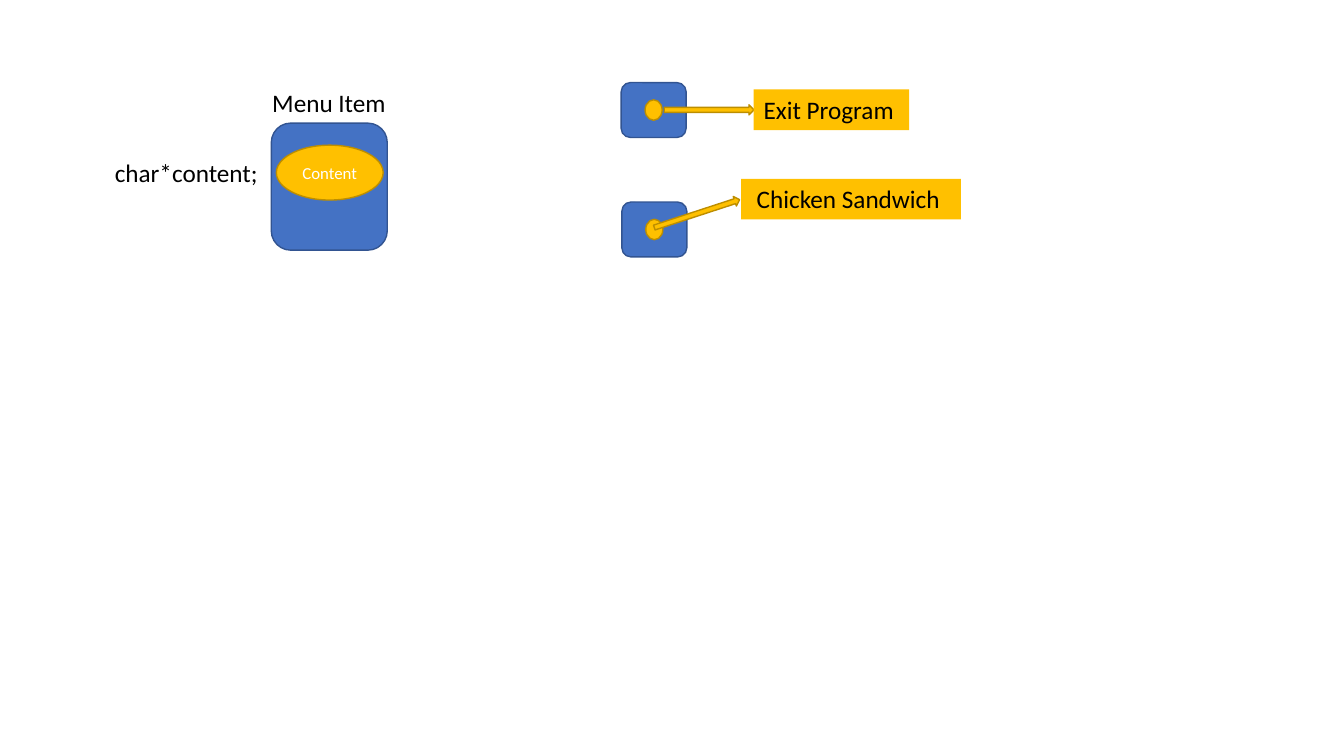
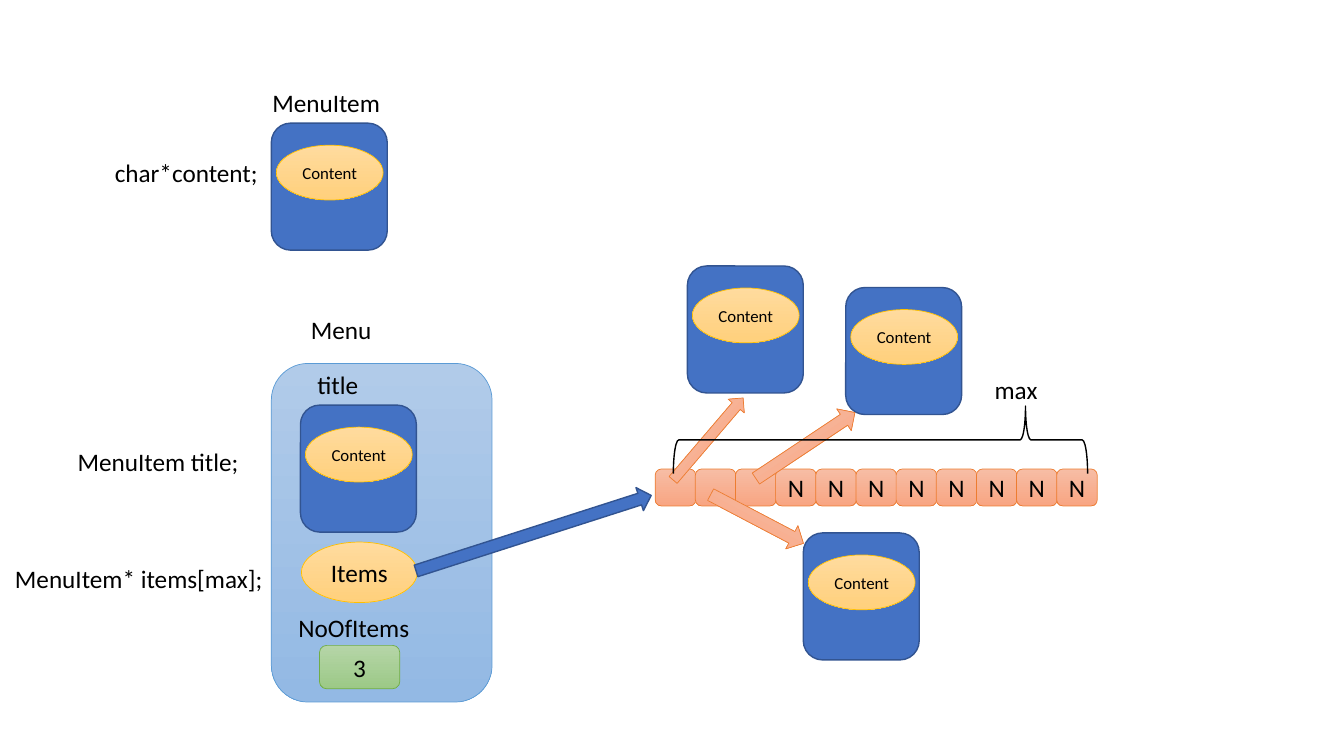
import pptx
import pptx.util
import pptx.dml.color
import pptx.enum.shapes
import pptx.enum.text

Pt = pptx.util.Pt
RGB = pptx.dml.color.RGBColor.from_string
SHAPE = pptx.enum.shapes.MSO_SHAPE
ALIGN = pptx.enum.text.PP_ALIGN
ANCHOR = pptx.enum.text.MSO_ANCHOR
AUTO = pptx.enum.text.MSO_AUTO_SIZE

COLORS = {
    "blue": "4472C4", "blue_line": "325491",
    "gold": "FFC000", "gold_line": "BD8E00",
    "cream_top": "FFDB9E", "cream_end": "FFD07C",
    "sky_top": "B1CBE9", "sky_end": "93B9E4", "sky_line": "5B9BD5",
    "green_top": "B5D5A7", "green_end": "9CC987", "green_line": "70AD47",
    "coral_top": "F7BDA5", "coral_end": "F8A582", "coral_line": "ED7D31",
    "black": "000000", "white": "FFFFFF",
}
STYLES = {
    "blue": (("blue",), "blue_line", 1),
    "gold": (("gold",), "gold_line", 1),
    "label": (("gold",), None, 0),
    "cream": (("cream_top", "cream_end"), "gold", 0.5),
    "sky": (("sky_top", "sky_end"), "sky_line", 0.5),
    "green": (("green_top", "green_end"), "green_line", 0.5),
    "coral": (("coral_top", "coral_end"), "coral_line", 0.5),
    "outline": ((), "black", 1),
}
FONT = "Calibri"
BLOCK = (82.8, 90.7)
OVAL = (76.3, 39.2)
OVAL_OFFSET = (3.6, 15.7)
LABEL_H = 29.1
MENU_ITEM = (193.8, 88)
FIELD = ("char*content;", 74.9, 108.9, 120.5, True)

OBJECT_SIZE = (46.4, 39.2)
POINTER_SIZE = (12.2, 14.6)
OBJECTS = [(443.7, 59), (444.2, 144.3)]
POINTER_ARROWS = [(474.5, 74.9, 64.1, 7.2, 0), (465.8, 149, 64.1, 7.2, 341.9)]
STRINGS = [("Exit Program", 538.4, 63.8, 111),
           (" Chicken Sandwich", 529.4, 127.7, 157)]

ITEM_BLOCKS = [(491, 190), (573.8, 380.7), (604.1, 205.4)]
ITEM_ARROWS = [(467.3, 306, 77, 15.1, 310.5), (503.3, 361.4, 74.9, 18.7, 27.7),
               (532.8, 308.9, 85, 18.7, 326.3)]
CELLS = ["", "", ""] + ["N"] * 8
CELL_X, CELL_Y, CELL_STEP = 468, 335, 28.68
CELL_SIZE = (29, 26.4)
MENU_LABELS = [
    ("Menu", 214.9, 221.2, 58.6, False),
    ("MenuItem title;", 48.4, 314.9, 149, True),
    ("title", 219.7, 260, 43.6, False),
    ("MenuItem* items[max];", 3.6, 399.1, 200.2, True),
    ("max", 703.4, 263.5, 45.4, False),
    ("NoOfItems", 206, 433.5, 111.6, True),
]


def write(sp, text, size=18, color="black", wrap=True, **formats):
    tf = sp.text_frame
    tf.word_wrap = wrap
    p = tf.paragraphs[0]
    p.alignment = formats.pop("alignment", None)
    for name, value in formats.items():
        setattr(tf, name, value)
    r = p.add_run()
    r.text = text
    for name, value in {"name": FONT, "size": Pt(size)}.items():
        setattr(r.font, name, value)
    r.font.color.rgb = RGB(COLORS[color])


def add(slide, kind, style, box, text="", size=18, color="black", rot=0):
    sp = slide.shapes.add_shape(kind, *map(Pt, box))
    sp.shadow.inherit = False
    sp.rotation = rot
    fills, line, width = STYLES[style]
    if len(fills) == 2:
        sp.fill.gradient()
        sp.fill.gradient_angle = 270
        for stop, fill in zip(sp.fill.gradient_stops, fills):
            stop.color.rgb = RGB(COLORS[fill])
    elif fills:
        sp.fill.solid()
        sp.fill.fore_color.rgb = RGB(COLORS[fills[0]])
    else:
        sp.fill.background()
    if line:
        sp.line.color.rgb = RGB(COLORS[line])
        sp.line.width = Pt(width)
    else:
        sp.line.fill.background()
    if style == "label":
        write(sp, text, alignment=ALIGN.LEFT, vertical_anchor=ANCHOR.TOP,
              auto_size=AUTO.SHAPE_TO_FIT_TEXT)
    elif text:
        write(sp, text, size, color, alignment=ALIGN.CENTER,
              vertical_anchor=ANCHOR.MIDDLE)
    return sp


def add_label(slide, text, x, y, w, wrap):
    sp = slide.shapes.add_textbox(Pt(x), Pt(y), Pt(w), Pt(LABEL_H))
    write(sp, text, wrap=wrap, auto_size=AUTO.SHAPE_TO_FIT_TEXT)


def add_block(slide, x, y, style="cream", color="black"):
    add(slide, SHAPE.ROUNDED_RECTANGLE, "blue", (x, y, *BLOCK))
    dx, dy = OVAL_OFFSET
    add(slide, SHAPE.OVAL, style, (x + dx, y + dy, *OVAL), "Content", 12, color)


def add_arrow(slide, style, x, y, w, h, rot):
    add(slide, SHAPE.RIGHT_ARROW, style, (x, y, w, h), rot=rot)


def start_slide(heading, heading_w, style, color):
    slide = prs.slides.add_slide(prs.slide_layouts[6])
    add_block(slide, *MENU_ITEM, style, color)
    add_label(slide, heading, 187.4, 59, heading_w, False)
    add_label(slide, *FIELD)
    return slide


def build_strings_slide():
    slide = start_slide("Menu Item", 96.5, "gold", "white")
    (ow, oh), (pw, ph) = OBJECT_SIZE, POINTER_SIZE
    for x, y in OBJECTS:
        add(slide, SHAPE.ROUNDED_RECTANGLE, "blue", (x, y, ow, oh))
        add(slide, SHAPE.OVAL, "gold",
            (x + (ow - pw) / 2, y + (oh - ph) / 2, pw, ph))
    for arrow in POINTER_ARROWS:
        add_arrow(slide, "gold", *arrow)
    for text, x, y, w in STRINGS:
        add(slide, SHAPE.RECTANGLE, "label", (x, y, w, LABEL_H), text)


def build_menu_slide():
    slide = start_slide("MenuItem", 92.2, "cream", "black")
    add(slide, SHAPE.ROUNDED_RECTANGLE, "sky", (193.8, 259.6, 157.7, 241.9))
    add_block(slide, 214.6, 289.4)
    add(slide, SHAPE.OVAL, "cream", (215.3, 387.2, 82.8, 43.2), "Items")
    add(slide, SHAPE.ROUNDED_RECTANGLE, "green", (228.2, 461, 57.4, 31), "3")
    add_arrow(slide, "blue", 293, 372.2, 176.4, 17.3, 342.2)
    for i, text in enumerate(CELLS):
        add(slide, SHAPE.ROUNDED_RECTANGLE, "coral",
            (CELL_X + i * CELL_STEP, CELL_Y, *CELL_SIZE), text)
    for block, arrow in zip(ITEM_BLOCKS, ITEM_ARROWS):
        add_block(slide, *block)
        add_arrow(slide, "coral", *arrow)
    brace = add(slide, SHAPE.LEFT_BRACE, "outline",
                (604.8, 166.3, 48.2, 295.9), rot=90)
    brace.adjustments[0] = 0.08
    brace.adjustments[1] = 0.15
    for label in MENU_LABELS:
        add_label(slide, *label)


prs = pptx.Presentation()
prs.slide_width, prs.slide_height = Pt(960), Pt(540)
build_strings_slide()
build_menu_slide()
prs.save("out.pptx")
